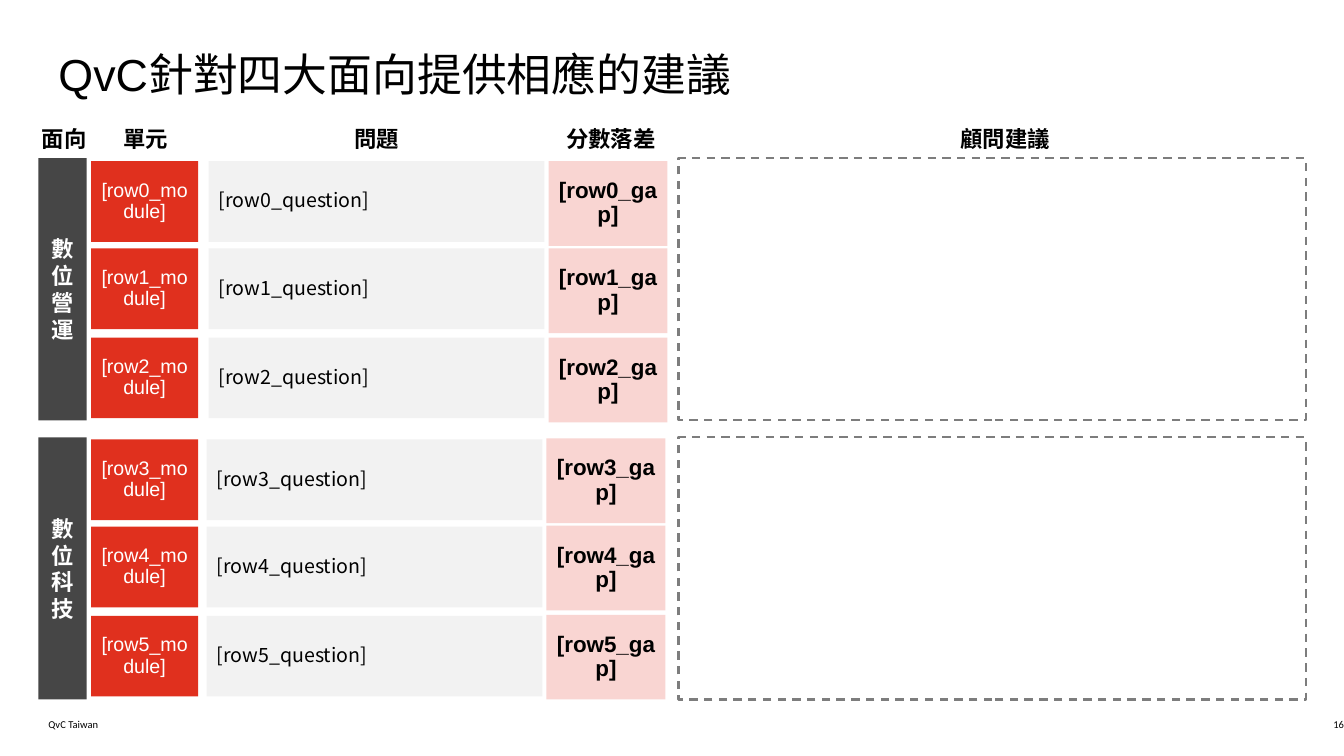
from lxml.etree import SubElement
from pptx import Presentation
from pptx.dml.color import RGBColor
from pptx.enum.dml import MSO_LINE
from pptx.enum.shapes import MSO_SHAPE
from pptx.enum.text import MSO_ANCHOR, MSO_AUTO_SIZE, PP_ALIGN
from pptx.oxml.ns import qn
from pptx.util import Inches, Pt

COLORS = {
    "black": "000000",
    "white": "FFFFFF",
    "red": "E0301E",
    "pink": "F9D5D2",
    "light": "F2F2F2",
    "dark": "464646",
    "dash": "7D7D7D",
}
CJK = "Noto Sans CJK SC"
GRID = 0.1


class GapSlide:
    def __init__(self, presentation):
        self.slide = presentation.slides.add_slide(presentation.slide_layouts[5])

    def area(self, *cells):
        return [Inches(cell * GRID) for cell in cells]

    def color(self, name):
        return RGBColor.from_string(COLORS[name])

    def add_text(self, shape, text, size, font, color="black", bold=False,
                 align=PP_ALIGN.LEFT, anchor=MSO_ANCHOR.TOP):
        frame = shape.text_frame
        frame.vertical_anchor = anchor
        paragraph = frame.paragraphs[0]
        paragraph.alignment = align
        run = paragraph.add_run()
        run.text = text
        run.font.name = font
        run.font.size = Pt(size)
        run.font.bold = bold
        run.font.color.rgb = self.color(color)
        SubElement(run.font._element, qn("a:ea")).set("typeface", CJK)
        return paragraph

    def title(self, cells, text):
        shape = self.slide.shapes.title
        shape.left, shape.top, shape.width, shape.height = self.area(*cells)
        shape.text_frame.word_wrap = True
        shape.text_frame.auto_size = MSO_AUTO_SIZE.NONE
        self.add_text(shape, text, 32, "Arial").line_spacing = 0.9

    def label(self, cells, text, size, font, wrap=True, **style):
        shape = self.slide.shapes.add_textbox(*self.area(*cells))
        frame = shape.text_frame
        frame.word_wrap = wrap
        frame.margin_left = frame.margin_right = 0
        frame.margin_top = frame.margin_bottom = 0
        return self.add_text(shape, text, size, font, **style)

    def header(self, cells, text):
        paragraph = self.label(cells, text, 16, CJK, wrap=False, bold=True,
                               align=PP_ALIGN.CENTER)
        paragraph.space_after = Pt(6)

    def rectangle(self, cells, fill):
        shape = self.slide.shapes.add_shape(MSO_SHAPE.RECTANGLE, *self.area(*cells))
        shape.shadow.inherit = False
        shape.fill.solid()
        shape.fill.fore_color.rgb = self.color(fill)
        shape.line.fill.background()
        shape.text_frame.word_wrap = True
        return shape

    def block(self, cells, fill, text, size, font, **style):
        shape = self.rectangle(cells, fill)
        return self.add_text(shape, text, size, font, anchor=MSO_ANCHOR.MIDDLE, **style)

    def cell(self, *content, **style):
        paragraph = self.block(*content, **style)
        paragraph.line_spacing = 0.9
        paragraph.space_before = Pt(10)

    def advice_box(self, cells):
        shape = self.rectangle(cells, "white")
        shape.line.color.rgb = self.color("dash")
        shape.line.width = Pt(1.5)
        shape.line.dash_style = MSO_LINE.DASH


def main():
    presentation = Presentation()
    presentation.slide_width = Inches(13.33)
    presentation.slide_height = Inches(7.5)
    page = GapSlide(presentation)

    page.title((4.8, 4.7, 123.6, 15.2), "QvC針對四大面向提供相應的建議")

    headers = [(4.1, 4.5, "面向"), (12.2, 4.5, "單元"), (35.1, 4.5, "問題"),
               (56.1, 9, "分數落差"), (95.2, 9, "顧問建議")]
    for left, width, text in headers:
        page.header((left, 12.4, width, 2.7), text)

    center = {"align": PP_ALIGN.CENTER}
    row_tops = (16, 24.65, 33.5)
    columns = [
        ("module", 9.05, 10.6, 8, 27.6, 0, "red", 14, "Arial",
         {"color": "white", **center}),
        ("question", 20.7, 33.3, 8, 27.6, 0.2, "light", 14, CJK, {}),
        ("gap", 54.4, 11.8, 8.4, 27.5, 0.2, "pink", 16, "Arial",
         {"bold": True, **center}),
    ]
    for band, aspect in enumerate(("數位營運", "數位科技")):
        top = 15.7 + band * 27.7
        page.block((3.8, top, 4.8, 26), "dark", aspect, 16, CJK,
                   color="white", bold=True, **center)
        page.advice_box((67.3, top, 62.2, 26))
        for name, left, width, height, step, shift, fill, size, font, style in columns:
            for index, row_top in enumerate(row_tops):
                cells = (left - band * shift, row_top + band * step, width, height)
                row = band * len(row_tops) + index
                page.cell(cells, fill, f"[row{row}_{name}]", size, font, **style)

    footer = {"size": 7.5, "font": "Calibri", "anchor": MSO_ANCHOR.BOTTOM}
    page.label((4.8, 71, 59.9, 1.5), "QvC Taiwan", **footer)
    page.label((114, 71, 19.3, 1.5), "16", align=PP_ALIGN.RIGHT, **footer)

    presentation.save("out.pptx")


if __name__ == "__main__":
    main()
